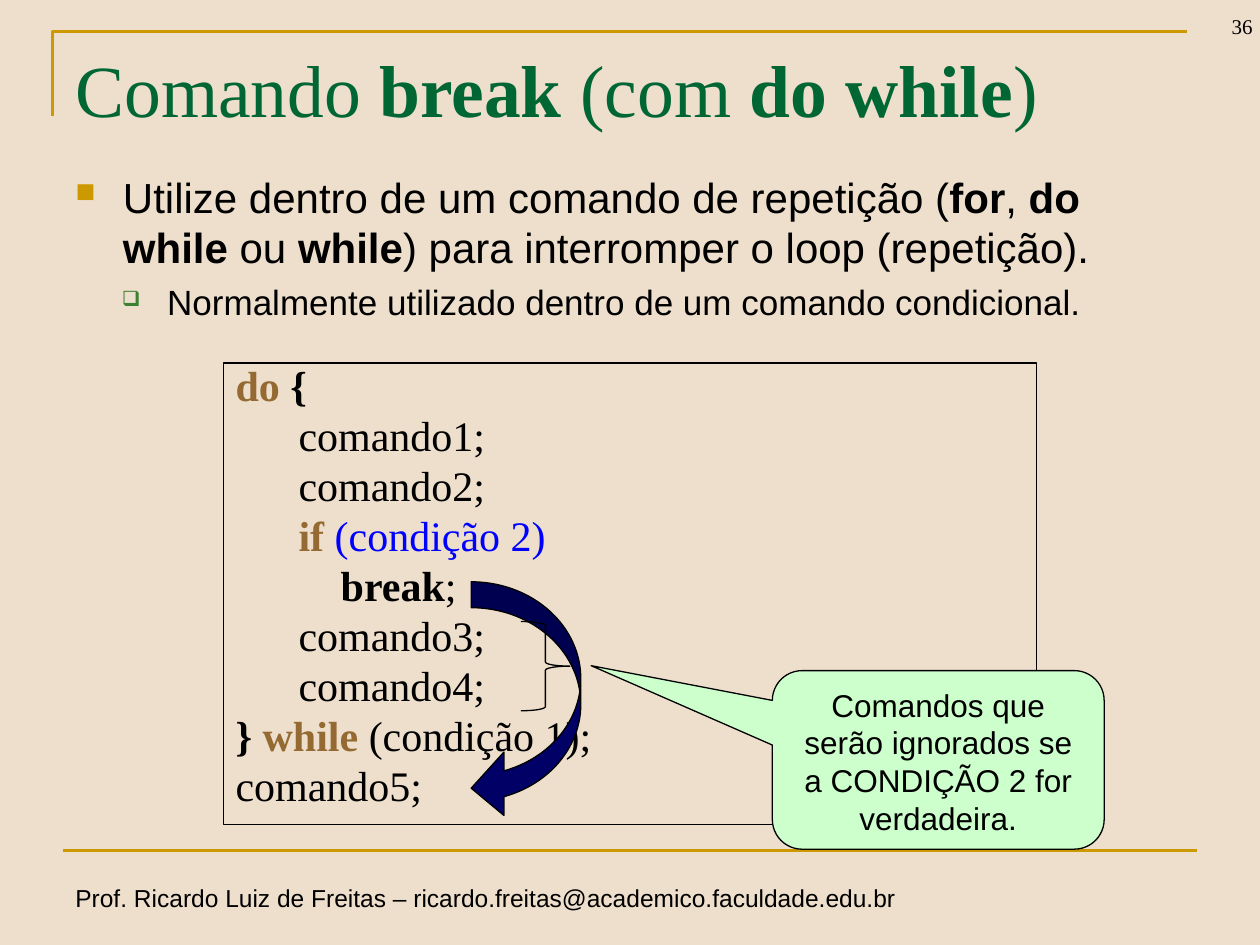
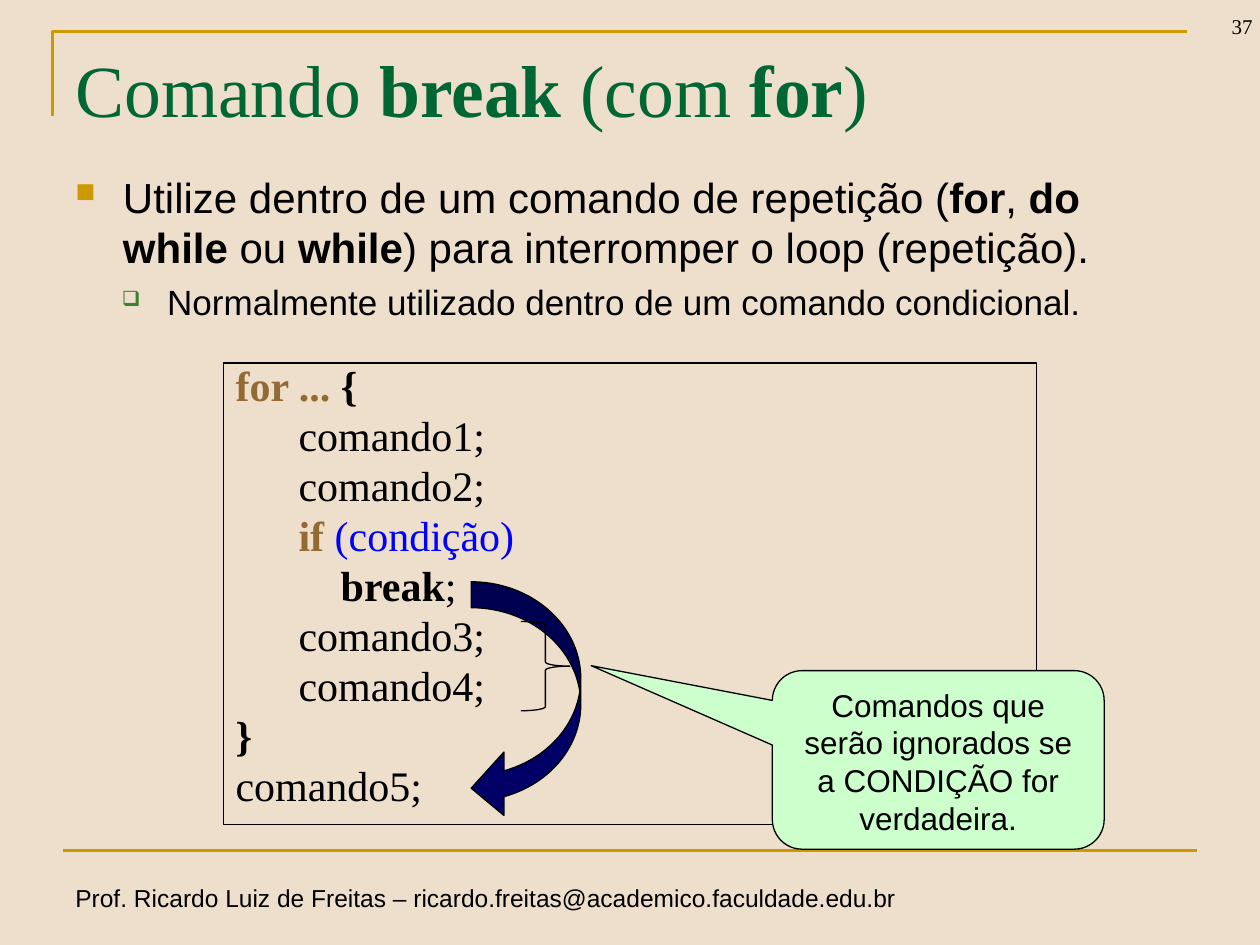
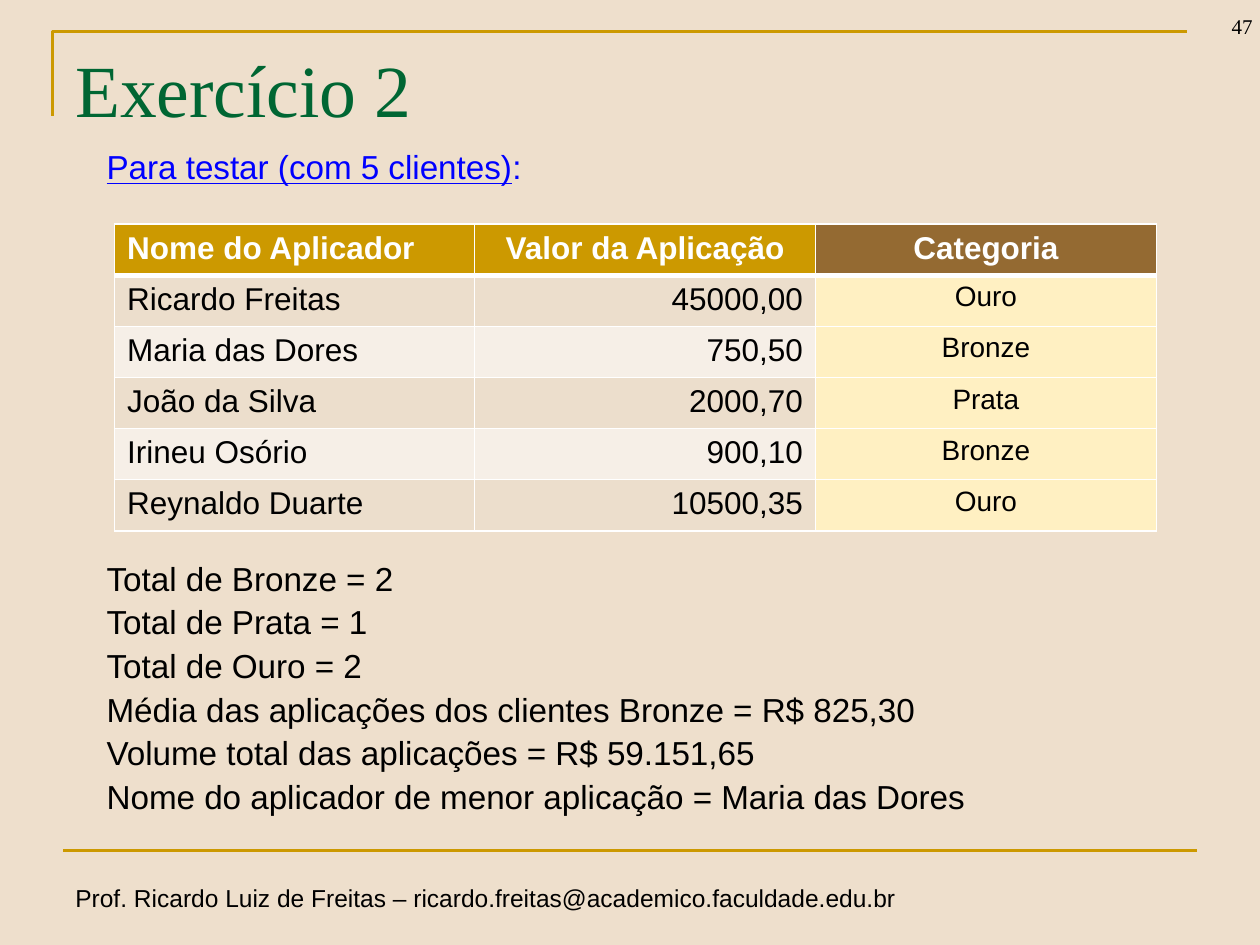
from lxml import etree
from pptx import Presentation
from pptx.dml.color import RGBColor
from pptx.enum.shapes import MSO_CONNECTOR, MSO_SHAPE
from pptx.enum.text import MSO_ANCHOR, PP_ALIGN
from pptx.oxml.ns import qn
from pptx.util import Cm, Pt

LEFT, CENTER, RIGHT = PP_ALIGN.LEFT, PP_ALIGN.CENTER, PP_ALIGN.RIGHT
TOP, BOTTOM = MSO_ANCHOR.TOP, MSO_ANCHOR.BOTTOM
STRAIGHT = MSO_CONNECTOR.STRAIGHT
RECTANGLE = MSO_SHAPE.RECTANGLE
CURVED_ARROW = MSO_SHAPE.CURVED_RIGHT_ARROW
BRACE = MSO_SHAPE.RIGHT_BRACE
CALLOUT = MSO_SHAPE.ROUNDED_RECTANGULAR_CALLOUT

COLORS = {
    "background": "EEDFCC", "gold": "CC9900", "title": "006633",
    "text": "000000", "keyword": "946A32", "condition": "0000FF",
    "bullet": "3B812F", "arrow": "000066", "callout": "CCFFCC",
    "white": "FFFFFF", "odd row": "ECDECC", "even row": "F6EFE7",
    "category": "FFF0C2",
}
SANS, SERIF = "Arial", "Times New Roman"

PLAIN = {}
BOLD = {"bold": True}
KEYWORD = {"bold": True, "color": "keyword"}
CONDITION = {"color": "condition"}

FOOTER = "Prof. Ricardo Luiz de Freitas – ricardo.freitas@academico.faculdade.edu.br"
USAGE = [
    ("Utilize dentro de um comando de repetição (", PLAIN), ("for", BOLD),
    (", ", PLAIN), ("do while", BOLD), (" ou ", PLAIN), ("while", BOLD),
    (") para interromper o loop (repetição).", PLAIN),
]
USAGE_NOTE = [("Normalmente utilizado dentro de um comando condicional.", PLAIN)]

BREAK_SLIDES = [
    {"number": 36, "loop": "do while", "opening": "do", "condition": "(condição 2)",
     "closing": [("} ", BOLD), ("while ", KEYWORD), ("(condição 1);", PLAIN)],
     "warning": "Comandos que serão ignorados se a CONDIÇÃO 2 for verdadeira."},
    {"number": 37, "loop": "for", "opening": "for ...", "condition": "(condição)",
     "closing": [("}", BOLD)],
     "warning": "Comandos que serão ignorados se a CONDIÇÃO for verdadeira."},
]

EXERCISE_NUMBER = 47
EXERCISE_TITLE = [("Exercício 2", PLAIN)]
TEST_HEADING = [
    ("Para testar (com 5 clientes)", {"color": "condition", "underline": True}),
    (":", CONDITION),
]
INVESTORS = [
    ("Nome do Aplicador", "Valor da Aplicação", "Categoria"),
    ("Ricardo Freitas", "45000,00", "Ouro"),
    ("Maria das Dores", "750,50", "Bronze"),
    ("João da Silva", "2000,70", "Prata"),
    ("Irineu Osório", "900,10", "Bronze"),
    ("Reynaldo Duarte", "10500,35", "Ouro"),
]
TOTALS = [
    "Total de Bronze = 2",
    "Total de Prata = 1",
    "Total de Ouro = 2",
    "Média das aplicações dos clientes Bronze = R$ 825,30",
    "Volume total das aplicações = R$ 59.151,65",
    "Nome do aplicador de menor aplicação = Maria das Dores",
]
COLUMN_WIDTHS = (7.26, 6.87, 6.87)
ROW_HEIGHT = 1.03
CODE_INDENTS = (0, 1.27, 2.12)


def rgb(name):
    return RGBColor.from_string(COLORS[name])


def box(*lengths):
    return [Cm(length) for length in lengths]


def write(paragraph, runs, size, font=SANS, color="text", align=LEFT, before=0, spacing=1.0):
    paragraph.alignment = align
    paragraph.space_before = Pt(before)
    paragraph.line_spacing = spacing
    for text, style in runs:
        run = paragraph.add_run()
        run.text = text
        run.font.name = font
        run.font.size = Pt(size)
        run.font.bold = style.get("bold", False)
        run.font.underline = style.get("underline", False)
        run.font.color.rgb = rgb(style.get("color", color))


def indent(paragraph, left, hanging=0):
    properties = paragraph._p.get_or_add_pPr()
    properties.set("marL", str(Cm(left)))
    properties.set("indent", str(-Cm(hanging)))
    return properties


def add_bullet(paragraph, character, color, percent, left, hanging):
    properties = indent(paragraph, left, hanging)
    tint = etree.SubElement(properties, qn("a:buClr"))
    etree.SubElement(tint, qn("a:srgbClr")).set("val", COLORS[color])
    etree.SubElement(properties, qn("a:buSzPct")).set("val", str(percent * 1000))
    etree.SubElement(properties, qn("a:buChar")).set("char", character)


def add_frame(slide, place, anchor=TOP, wrap=True):
    frame = slide.shapes.add_textbox(*box(*place)).text_frame
    frame.word_wrap = wrap
    frame.vertical_anchor = anchor
    return frame


def paint(shape, fill=None, line="text", width=0.75):
    shape.shadow.inherit = False
    if fill:
        shape.fill.solid()
        shape.fill.fore_color.rgb = rgb(fill)
    else:
        shape.fill.background()
    shape.line.color.rgb = rgb(line)
    shape.line.width = Pt(width)


def add_figure(slide, preset, place, fill=None, adjustments=()):
    figure = slide.shapes.add_shape(preset, *box(*place))
    paint(figure, fill)
    for index, value in enumerate(adjustments):
        figure.adjustments[index] = value
    return figure


def start_slide(deck, number, title):
    slide = deck.slides.add_slide(deck.slide_layouts[6])
    slide.background.fill.solid()
    slide.background.fill.fore_color.rgb = rgb("background")

    corner = slide.shapes.build_freeform(Cm(1.06), Cm(2.33))
    corner.add_line_segments([(Cm(1.06), Cm(0.63)), (Cm(23.92), Cm(0.63))], close=False)
    paint(corner.convert_to_shape(), line="gold", width=1.5)

    rule = slide.shapes.add_connector(STRAIGHT, *box(1.27, 17.15, 24.13, 17.15))
    rule.line.color.rgb = rgb("gold")
    rule.line.width = Pt(1.5)
    etree.SubElement(rule._element.spPr, qn("a:effectLst"))

    footer = add_frame(slide, (1.27, 17.68, 17.42, 0.86), wrap=False)
    write(footer.paragraphs[0], [(FOOTER, PLAIN)], 14)
    heading = add_frame(slide, (1.27, 0.76, 22.86, 3.18))
    write(heading.paragraphs[0], title, 42, SERIF, "title")
    page = add_frame(slide, (23.6, -0.36, 1.9, 1.27), BOTTOM)
    write(page.paragraphs[0], [(str(number), PLAIN)], 12, SERIF, align=RIGHT)
    return slide


def add_usage(slide):
    frame = add_frame(slide, (1.27, 3.33, 22.86, 6.48))
    usage = frame.paragraphs[0]
    write(usage, USAGE, 24, before=5.5)
    add_bullet(usage, "■", "gold", 65, 0.96, 0.96)
    note = frame.add_paragraph()
    write(note, USAGE_NOTE, 20, before=4.6)
    add_bullet(note, "❑", "bullet", 60, 1.85, 0.91)


def add_code(slide, content):
    lines = [
        (0, [(content["opening"], KEYWORD), (" ", PLAIN), ("{", BOLD)]),
        (1, [("comando1;", PLAIN)]),
        (1, [("comando2;", PLAIN)]),
        (1, [("if ", KEYWORD), (content["condition"], CONDITION)]),
        (2, [("break", BOLD), (";", PLAIN)]),
        (1, [("comando3;", PLAIN)]),
        (1, [("comando4;", PLAIN)]),
        (0, content["closing"]),
        (0, [("comando5;", PLAIN)]),
    ]
    frame = add_figure(slide, RECTANGLE, (4.5, 7.32, 16.4, 9.3)).text_frame
    frame.word_wrap = True
    frame.vertical_anchor = TOP
    for index, (level, runs) in enumerate(lines):
        line = frame.add_paragraph() if index else frame.paragraphs[0]
        write(line, runs, 24, SERIF, before=5.5, spacing=0.8)
        indent(line, CODE_INDENTS[level])


def add_jump(slide, warning):
    jump = add_figure(slide, CURVED_ARROW, (9.5, 11.73, 2.21, 4.8), "arrow",
                      (0.236, 0.579, 0.299))
    jump._element.spPr.find(qn("a:xfrm")).set("flipH", "1")
    add_figure(slide, BRACE, (10.5, 12.53, 0.99, 1.8), adjustments=(0.083, 0.5))
    frame = add_figure(slide, CALLOUT, (15.57, 13.52, 6.69, 3.6), "callout",
                       (-1.046, -0.528, 0.167)).text_frame
    frame.word_wrap = True
    frame.vertical_anchor = TOP
    write(frame.paragraphs[0], [(warning, PLAIN)], 18, align=CENTER)


def add_border(cell, side, width):
    border = etree.SubElement(cell._tc.get_or_add_tcPr(), qn("a:" + side))
    border.set("w", str(Pt(width)))
    fill = etree.SubElement(border, qn("a:solidFill"))
    etree.SubElement(fill, qn("a:srgbClr")).set("val", COLORS["white"])


def add_investors(slide):
    rows, columns = len(INVESTORS), len(COLUMN_WIDTHS)
    table = slide.shapes.add_table(
        rows, columns, *box(2.31, 4.52, sum(COLUMN_WIDTHS), rows * ROW_HEIGHT)).table
    for column, width in zip(table.columns, COLUMN_WIDTHS):
        column.width = Cm(width)
    for r, values in enumerate(INVESTORS):
        table.rows[r].height = Cm(ROW_HEIGHT)
        for c, value in enumerate(values):
            header, category = r == 0, c == columns - 1
            if header:
                fill = "keyword" if category else "gold"
            elif category:
                fill = "category"
            else:
                fill = "odd row" if r % 2 else "even row"
            cell = table.cell(r, c)
            for side in ("lnL", "lnR", "lnT", "lnB"):
                thick = (header and side == "lnB") or (r == 1 and side == "lnT")
                add_border(cell, side, 3 if thick else 1)
            cell.fill.solid()
            cell.fill.fore_color.rgb = rgb(fill)
            write(cell.text_frame.paragraphs[0], [(value, BOLD if header else PLAIN)],
                  16 if category and not header else 18,
                  color="white" if header else "text",
                  align=(LEFT, CENTER if header else RIGHT, CENTER)[c])


def add_test(slide):
    frame = add_frame(slide, (1.9, 2.92, 22.6, 14))
    write(frame.paragraphs[0], TEST_HEADING, 19, before=4.4, spacing=0.9)
    for index, total in enumerate(TOTALS):
        write(frame.add_paragraph(), [(total, PLAIN)], 19,
              before=4.4 if index else 214.6, spacing=0.9)


deck = Presentation()
deck.slide_width, deck.slide_height = box(25.4, 19.05)

for content in BREAK_SLIDES:
    title = [("Comando ", PLAIN), ("break", BOLD), (" (com ", PLAIN),
             (content["loop"], BOLD), (")", PLAIN)]
    slide = start_slide(deck, content["number"], title)
    add_usage(slide)
    add_code(slide, content)
    add_jump(slide, content["warning"])

slide = start_slide(deck, EXERCISE_NUMBER, EXERCISE_TITLE)
add_test(slide)
add_investors(slide)

deck.save("out.pptx")
